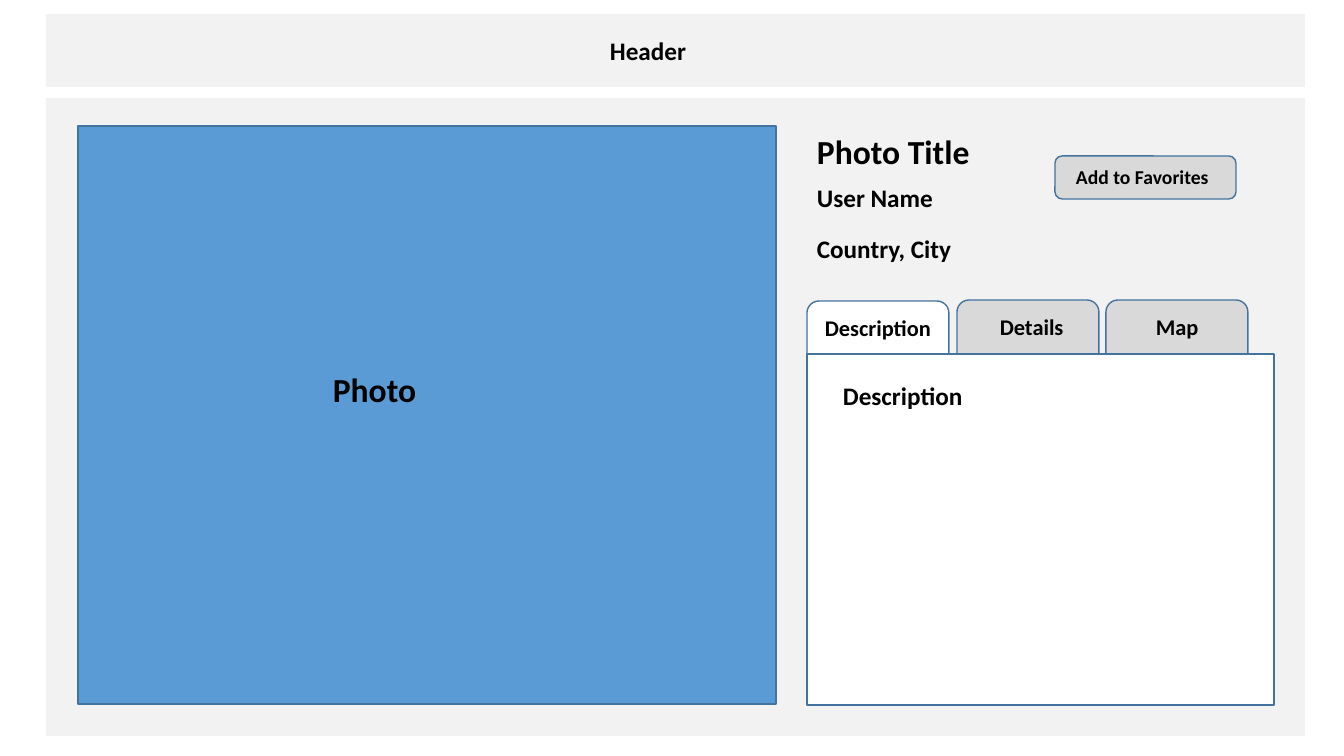
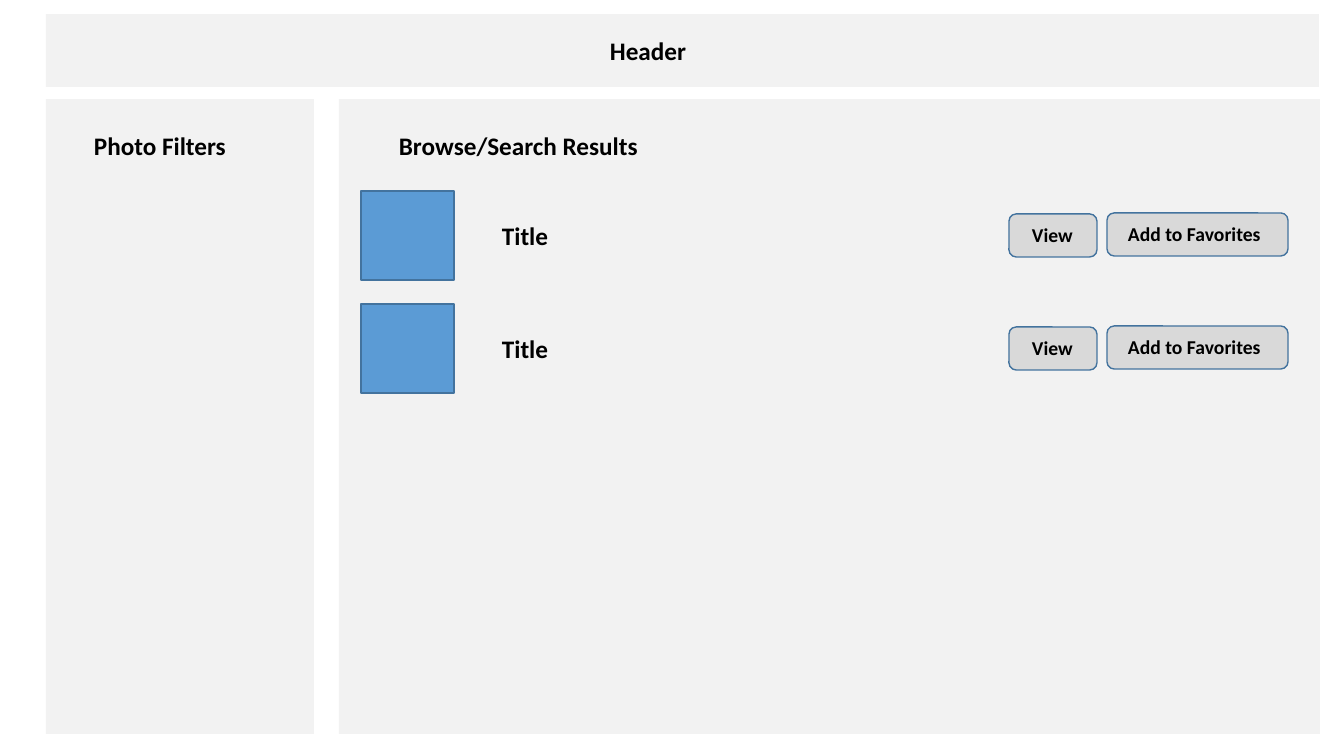
from pptx import Presentation
from pptx.dml.color import RGBColor
from pptx.enum.shapes import MSO_SHAPE
from pptx.enum.text import MSO_AUTO_SIZE
from pptx.util import Emu, Pt

PIXEL = 914400 / 100.8
FONT, INK = "Calibri", "000000"
PANEL, BUTTON, PHOTO, WHITE = "F2F2F2", "D9D9D9", "5B9BD5", "FFFFFF"
OUTLINE = "43739E"


def px(*lengths):
    """Turn pixel lengths into EMU."""
    return [Emu(round(length * PIXEL)) for length in lengths]


def color(hex_code):
    """Turn a hex string into a colour."""
    return RGBColor.from_string(hex_code)


class Wireframe:
    """Hold the shared style and the slide being drawn."""

    def __init__(self):
        """Start an empty widescreen deck."""
        self.deck = Presentation()
        self.deck.slide_width, self.deck.slide_height = px(1344, 756)

    def page(self, header_width):
        """Add a slide with its header band."""
        self.slide = self.deck.slides.add_slide(self.deck.slide_layouts[6])
        self.box(46, 14, header_width, 73, PANEL)
        self.text("Header", 600, 30, 96, 40)

    def box(self, left, top, width, height, fill, outline=None, rounded=False):
        """Draw a square or rounded rectangle."""
        kind = MSO_SHAPE.ROUNDED_RECTANGLE if rounded else MSO_SHAPE.RECTANGLE
        shape = self.slide.shapes.add_shape(kind, *px(left, top, width, height))
        shape.shadow.inherit = False
        shape.fill.solid()
        shape.fill.fore_color.rgb = color(fill)
        if outline:
            shape.line.color.rgb = color(outline)
            shape.line.width = Pt(1)
        else:
            shape.line.fill.background()

    def text(self, words, left, top, width, height, size=18, wrap=False):
        """Write one bold line of text."""
        area = self.slide.shapes.add_textbox(*px(left, top, width, height))
        frame = area.text_frame
        frame.word_wrap = wrap
        frame.auto_size = MSO_AUTO_SIZE.SHAPE_TO_FIT_TEXT
        run = frame.paragraphs[0].add_run()
        run.text = words
        run.font.name = FONT
        run.font.size = Pt(size)
        run.font.bold = True
        run.font.color.rgb = color(INK)

    def photo(self, left, top, width, height):
        """Draw a photo placeholder."""
        self.box(left, top, width, height, PHOTO, OUTLINE)

    def button(self, words, left, top, width, label_left, label_width):
        """Draw a rounded button with its label."""
        self.box(left, top, width, 43, BUTTON, OUTLINE, rounded=True)
        self.text(words, left + label_left, top + 4, label_width, 34, size=14)

    def favorite(self, left, top):
        """Draw the favorites button."""
        self.button("Add to Favorites", left, top, 181, 11, 154)

    def tab(self, words, left, top, label_left, label_width, fill=BUTTON):
        """Draw a tab whose foot the pane will cover."""
        self.box(left, top, 142, 72, fill, OUTLINE, rounded=True)
        self.text(words, left + label_left, top + 8, label_width, 37, size=16)

    def result(self, top):
        """Draw one search result."""
        self.photo(361, top, 93, 89)
        self.text("Title", 492, top + 24, 67, 40)
        self.favorite(1107, top + 22)
        self.button("View", 1009, top + 23, 88, 13, 61)


wireframe = Wireframe()

wireframe.page(header_width=1259)
wireframe.box(46, 98, 1259, 638, PANEL)
wireframe.photo(78, 126, 698, 578)
wireframe.text("Photo", 323, 364, 105, 50, size=24)
wireframe.text("Photo Title", 807, 126, 174, 50, size=24)
wireframe.text("User Name", 807, 177, 137, 40)
wireframe.text("Country, City", 807, 228, 155, 40)
wireframe.favorite(1055, 156)
wireframe.tab("Description", 807, 301, 8, 128, fill=WHITE)
wireframe.tab("Details", 957, 300, 33, 85)
wireframe.tab("Map", 1106, 300, 40, 64)
wireframe.box(807, 354, 467, 351, WHITE, OUTLINE)
wireframe.text("Description", 833, 375, 141, 40)

wireframe.page(header_width=1273)
wireframe.box(46, 99, 268, 635, PANEL)
wireframe.text("Photo Filters", 84, 125, 176, 40, wrap=True)
wireframe.box(339, 99, 981, 635, PANEL)
wireframe.text("Browse/Search Results", 389, 125, 293, 40, wrap=True)
for row in range(2):
    wireframe.result(191 + 113 * row)

wireframe.deck.save("out.pptx")
